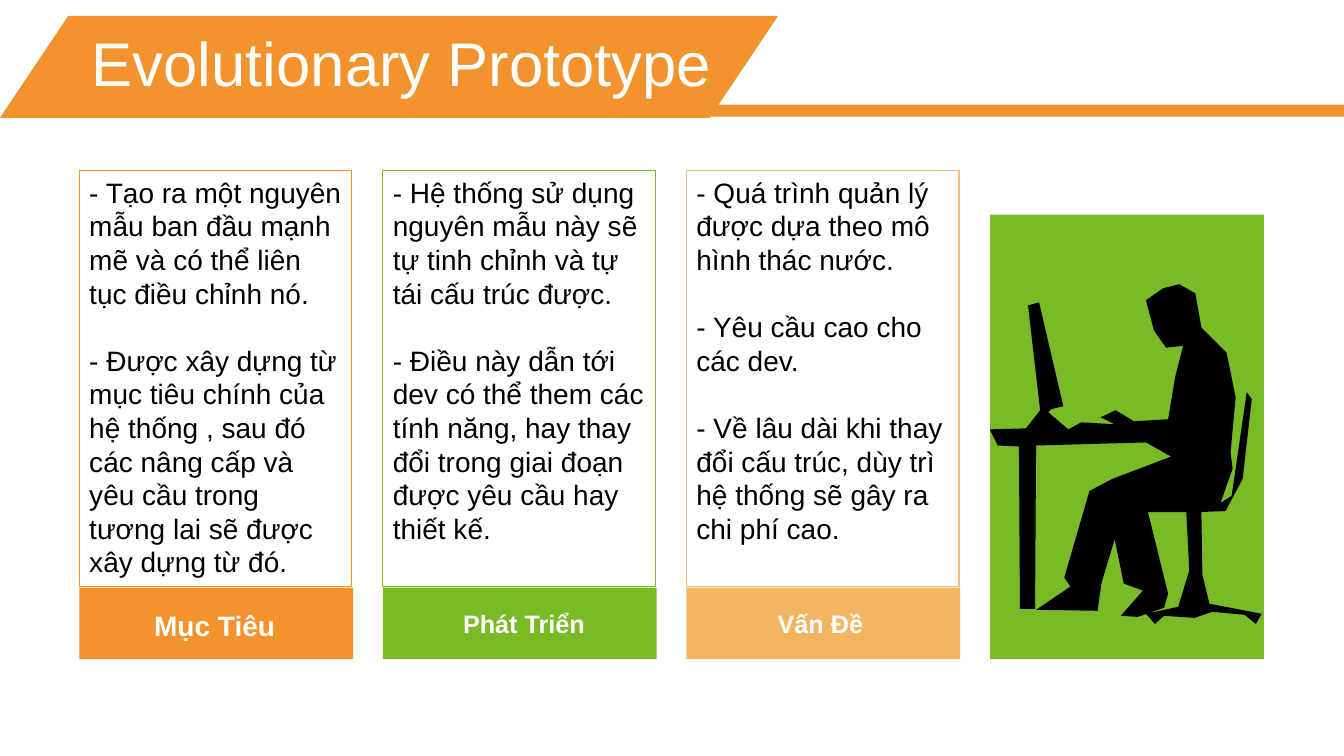
from lxml.etree import SubElement
from pptx import Presentation
from pptx.dml.color import RGBColor
from pptx.enum.shapes import MSO_SHAPE
from pptx.enum.text import MSO_ANCHOR, MSO_AUTO_SIZE, PP_ALIGN
from pptx.oxml.ns import qn
from pptx.util import Cm, Pt

ORANGE = RGBColor(0xF3, 0x93, 0x2D)
GREEN = RGBColor(0x79, 0xBA, 0x27)
SAND = RGBColor(0xF2, 0xB6, 0x62)
PEACH = RGBColor(0xF8, 0xBE, 0x81)
WHITE = RGBColor(0xFF, 0xFF, 0xFF)
BLACK = RGBColor(0, 0, 0)

FONT = "Arial"
LEFT, PITCH, WIDTH = 2, 7.65, 6.9
BAND_TOP, BAND_HEIGHT = 14.81, 1.8
CARD_TOP, CARD_WIDTH, CARD_HEIGHT = 4.29, 6.87, 10.5
PANEL_TOP = 5.41

COLUMNS = [
    ("Mục Tiêu", 3.1, 4.62, 20, ORANGE, ORANGE, [
        "- Tạo ra một nguyên mẫu ban đầu mạnh mẽ và có thể liên tục điều chỉnh nó.",
        "- Được xây dựng từ mục tiêu chính của hệ thống , sau đó các nâng cấp "
        "và yêu cầu trong tương lai sẽ được xây dựng từ đó."]),
    ("Phát Triển", 11.4, 3.61, 18, GREEN, GREEN, [
        "- Hệ thống sử dụng nguyên mẫu này sẽ tự tinh chỉnh và tự tái cấu trúc được.",
        "- Điều này dẫn tới dev có thể them các tính năng, hay thay đổi trong "
        "giai đoạn được yêu cầu hay thiết kế."]),
    ("Vấn Đề", 19.33, 2.69, 18, SAND, PEACH, [
        "- Quá trình quản lý được dựa theo mô hình thác nước.",
        "- Yêu cầu cao cho các dev.",
        "- Về lâu dài khi thay đổi cấu trúc, dùy trì hệ thống sẽ gây ra chi phí cao."]),
]

WORKER_AT_DESK = [
    (982, 426), (1018, 425), (1032, 407), (1020, 303), (1031, 300), (1055, 403),
    (1043, 406), (1040, 409), (1060, 426), (1073, 419), (1106, 421), (1092, 414),
    (1107, 407), (1125, 418), (1159, 416), (1166, 374), (1174, 343), (1157, 345),
    (1145, 328), (1137, 298), (1154, 286), (1170, 282), (1186, 291), (1192, 325),
    (1217, 350), (1226, 394), (1221, 449), (1223, 465), (1211, 499), (1222, 492),
    (1237, 389), (1242, 396), (1233, 475), (1216, 507), (1192, 508), (1193, 570),
    (1200, 599), (1252, 609), (1246, 619), (1235, 610), (1203, 607), (1185, 613),
    (1155, 611), (1146, 619), (1137, 609), (1169, 602), (1180, 566), (1177, 508),
    (1139, 508), (1159, 589), (1155, 603), (1129, 612), (1112, 611), (1134, 586),
    (1115, 579), (1106, 535), (1093, 578), (1089, 606), (1028, 605), (1062, 582),
    (1056, 573), (1081, 487), (1104, 475), (1162, 453), (1137, 439), (1028, 442),
    (1027, 604), (1012, 604), (1011, 443), (990, 442),
]


def paint(sp, color):
    sp.shadow.inherit = False
    sp.fill.solid()
    sp.fill.fore_color.rgb = color
    sp.line.fill.background()


def add_block(s, shape, left, top, width, height, color):
    sp = s.shapes.add_shape(shape, Cm(left), Cm(top), Cm(width), Cm(height))
    paint(sp, color)
    return sp


def write(p, text, size, color, bold=False):
    r = p.add_run()
    r.text = text
    r.font.name = FONT
    r.font.size = Pt(size)
    r.font.bold = bold
    r.font.color.rgb = color


def add_label(s, text, left, width, size):
    sp = s.shapes.add_textbox(Cm(left), Cm(15.21), Cm(width), Cm(1.02))
    tf = sp.text_frame
    tf.word_wrap = False
    tf.auto_size = MSO_AUTO_SIZE.SHAPE_TO_FIT_TEXT
    p = tf.paragraphs[0]
    p.alignment = PP_ALIGN.CENTER
    write(p, text, size, WHITE, True)


def add_card(s, left, border, items):
    sp = add_block(s, MSO_SHAPE.RECTANGLE, left, CARD_TOP, CARD_WIDTH, CARD_HEIGHT, WHITE)
    color = sp.element.spPr.find(qn("a:solidFill"))[0]
    SubElement(color, qn("a:alpha")).set("val", "30000")
    sp.line.color.rgb = border
    sp.line.width = Pt(0.75)
    tf = sp.text_frame
    tf.word_wrap = True
    tf.auto_size = MSO_AUTO_SIZE.SHAPE_TO_FIT_TEXT
    tf.vertical_anchor = MSO_ANCHOR.TOP
    for i, item in enumerate(items):
        p = tf.add_paragraph() if i else tf.paragraphs[0]
        p.alignment = PP_ALIGN.LEFT
        if i:
            p.space_before = Pt(24)
        write(p, item, 20, BLACK)


def add_title(s, text):
    sp = s.shapes.title
    sp.left, sp.top, sp.width, sp.height = Cm(2.06), Cm(0.66), Cm(31.09), Cm(2.01)
    sp.element.getparent().append(sp.element)
    tf = sp.text_frame
    tf.auto_size = MSO_AUTO_SIZE.NONE
    tf.vertical_anchor = MSO_ANCHOR.MIDDLE
    p = tf.paragraphs[0]
    p.alignment = PP_ALIGN.LEFT
    p.line_spacing = 0.9
    write(p, text, 44, WHITE)


def add_silhouette(s, points):
    builder = s.shapes.build_freeform(*points[0], scale=Cm(0.0254))
    builder.add_line_segments(points[1:])
    paint(builder.convert_to_shape(), BLACK)


def main():
    prs = Presentation()
    prs.slide_width, prs.slide_height = Cm(33.87), Cm(19.05)
    s = prs.slides.add_slide(prs.slide_layouts[5])

    add_block(s, MSO_SHAPE.RECTANGLE, 16.93, 2.64, 16.94, 0.3, ORANGE)
    banner = add_block(s, MSO_SHAPE.PARALLELOGRAM, 0, 0.4, 19.61, 2.57, ORANGE)
    banner.adjustments[0] = 0.67
    add_title(s, "Evolutionary Prototype")

    for i, (label, label_left, label_width, size, color, border, items) in enumerate(COLUMNS):
        left = LEFT + i * PITCH
        add_block(s, MSO_SHAPE.RECTANGLE, left, BAND_TOP, WIDTH, BAND_HEIGHT, color)
        add_label(s, label, label_left, label_width, size)
        add_card(s, left, border, items)

    panel_height = BAND_TOP + BAND_HEIGHT - PANEL_TOP
    add_block(s, MSO_SHAPE.RECTANGLE, LEFT + len(COLUMNS) * PITCH, PANEL_TOP,
              WIDTH, panel_height, GREEN)
    add_silhouette(s, WORKER_AT_DESK)
    prs.save("out.pptx")


if __name__ == "__main__":
    main()
